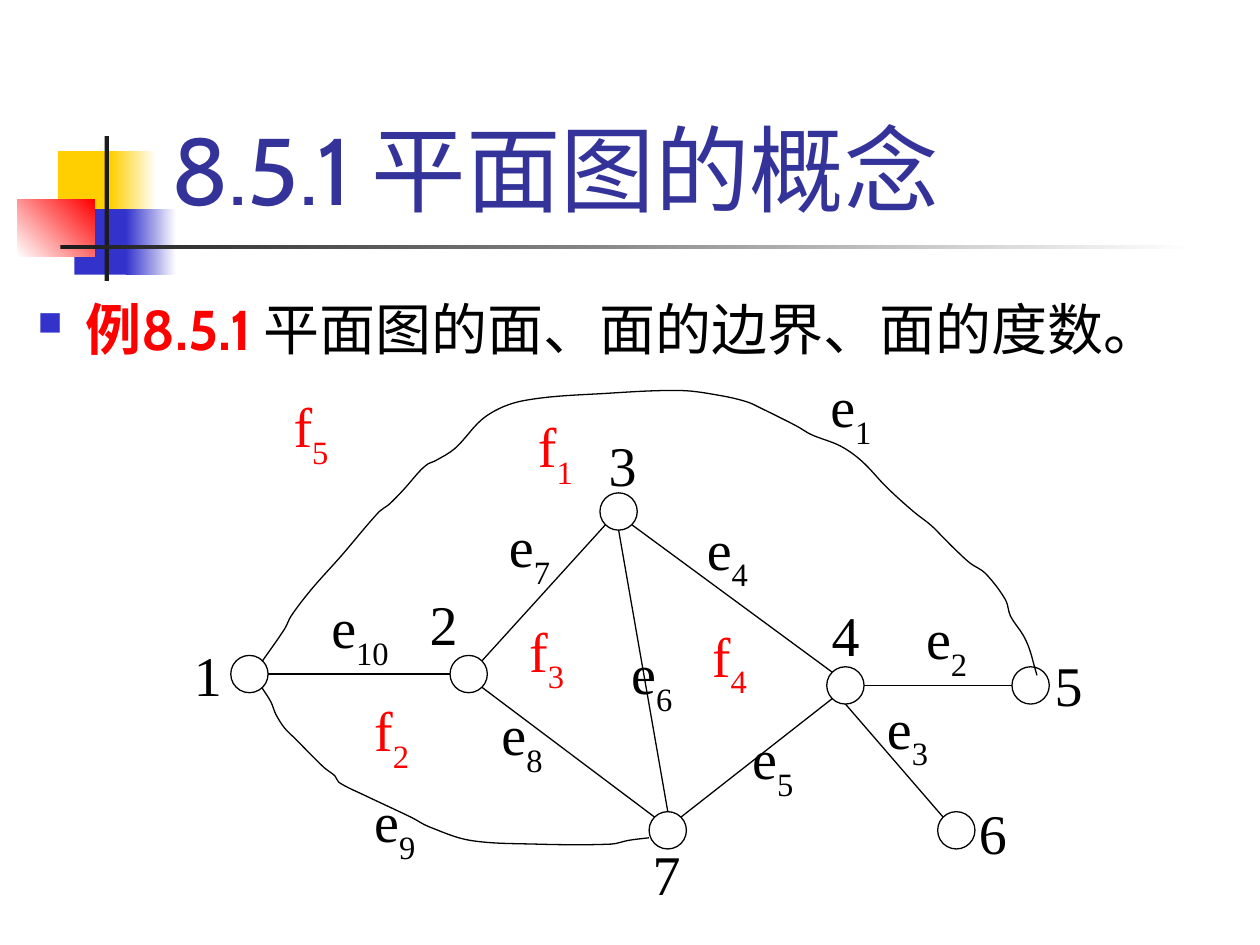
"""Build a slide on the faces, boundaries and degrees of a planar graph."""
from lxml import etree
from pptx import Presentation
from pptx import util as u
from pptx.dml.color import RGBColor
from pptx.enum import shapes, text
from pptx.oxml import ns

presentation = Presentation()
presentation.slide_width = u.Inches(10)
presentation.slide_height = u.Inches(7.5)
slide = presentation.slides.add_slide(presentation.slide_layouts[6])
column = presentation.slide_width / 100
row = presentation.slide_height / 75
rgb = RGBColor.from_string


def grid(*lengths):
    return [round(length * (row if index % 2 else column)) for index, length in enumerate(lengths)]


def add_shape(kind, frame, fill, line=None):
    shape = slide.shapes.add_shape(kind, *grid(*frame))
    shape.shadow.inherit = False
    shape.fill.solid()
    shape.fill.fore_color.rgb = rgb(fill)
    if line:
        shape.line.color.rgb = rgb(line)
        shape.line.width = u.Pt(0.75)
    else:
        shape.line.fill.background()
    return shape


ornaments = [
    ((4.6, 12, 4.8, 5.2), ["FFCF01"], 0),
    ((8.8, 12, 3.6, 5.2), ["FFCF01", "FFFFFF"], 0),
    ((5.9, 16.6, 4.6, 5.2), ["3333CC"], 0),
    ((10, 16.6, 4, 5.2), ["3333CC", "FFFFFF"], 0),
    ((1.4, 15.8, 6.1, 4.6), ["FFFFFF", "FF0000"], 45),
    ((8.3, 10.8, 0.35, 11.5), ["1C1C1C"], 0),
    ((4.8, 19.45, 90, 0.35), ["1C1C1C", "FFFFFF"], 0),
]
for frame, colors, angle in ornaments:
    shape = add_shape(shapes.MSO_SHAPE.RECTANGLE, frame, colors[0])
    if len(colors) == 2:
        shape.fill.gradient()
        shape.fill.gradient_angle = angle
        for stop, color in zip(shape.fill.gradient_stops, colors):
            stop.color.rgb = rgb(color)

title = slide.shapes.add_textbox(*grid(12.6, 2.3, 85.2, 16)).text_frame
title.word_wrap = True
title.vertical_anchor = text.MSO_ANCHOR.BOTTOM
paragraph = title.paragraphs[0]
paragraph.text = "8.5.1 平面图的概念"
paragraph.font.size = u.Pt(54)
paragraph.font.name = "Cabin"
paragraph.font.color.rgb = rgb("333399")

body = slide.shapes.add_textbox(*grid(2, 20.2, 98, 54.8)).text_frame
body.word_wrap = True
paragraph = body.paragraphs[0]
paragraph.line_spacing = 1.5
properties = paragraph._p.get_or_add_pPr()
properties.set("marL", str(u.Inches(0.38)))
properties.set("indent", str(-u.Inches(0.38)))
bullet_color = etree.SubElement(properties, ns.qn("a:buClr"))
etree.SubElement(bullet_color, ns.qn("a:srgbClr"), val="3333CC")
etree.SubElement(properties, ns.qn("a:buSzPct"), val="60000")
etree.SubElement(properties, ns.qn("a:buChar"), char="■")
paragraph.font.size = u.Pt(32)
paragraph.font.name = "Cabin"
for words, color, bold in [("例8.5.1 ", "FF0000", True),
                           ("平面图的面、面的边界、面的度数。", "000000", False)]:
    run = paragraph.add_run()
    run.text = words
    run.font.color.rgb = rgb(color)
    run.font.bold = bold

labels = [
    ("f", "1", 41.6, 32.1, 8.7), ("f", "2", 28.6, 54.6, 8.7), ("f", "3", 40.9, 48.3, 8.7),
    ("f", "4", 55.4, 48.7, 8.3), ("e", "1", 64.8, 28.9, 8.7), ("e", "7", 39.3, 40, 8.7),
    ("e", "10", 25.2, 46.4, 8.7), ("e", "8", 38.7, 54.9, 8.7), ("e", "9", 28.6, 61.8, 8.7),
    ("e", "3", 69.3, 54.4, 8.7), ("e", "5", 58.6, 56.8, 8.7), ("e", "4", 55, 40.2, 8.7),
    ("e", "2", 72.4, 47.3, 8.7), ("e", "6", 49, 50.1, 7.6), ("7", "", 50.7, 66, 8.7),
    ("1", "", 14.3, 50.2, 8.7), ("6", "", 76.6, 62.8, 8.7), ("5", "", 82.6, 51, 8.7),
    ("3", "", 47.2, 33.6, 5.5), ("4", "", 64.9, 47.1, 8.7), ("2", "", 33, 46.2, 8.7),
    ("f", "5", 22.2, 30.5, 6.9),
]
for letter, index, left, top, width in labels:
    shape = add_shape(shapes.MSO_SHAPE.RECTANGLE, (left, top, width, 8.5), "FFFFFF", "FFFFFF")
    frame = shape.text_frame
    frame.vertical_anchor = text.MSO_ANCHOR.TOP
    frame.margin_left = frame.margin_right = u.Inches(0.11)
    frame.margin_top = frame.margin_bottom = u.Inches(0.06)
    paragraph = frame.paragraphs[0]
    paragraph.alignment = text.PP_ALIGN.LEFT
    paragraph.font.size = u.Pt(32)
    paragraph.font.name = "Times New Roman"
    paragraph.font.color.rgb = rgb("FF0000" if letter == "f" else "000000")
    paragraph.add_run().text = letter
    if index:
        run = paragraph.add_run()
        run.text = index
        run.font._element.set("baseline", "-30000")

radius = 1.48
vertices = {1: (19.8, 53.5), 2: (37.2, 53.5), 3: (49.1, 40.6), 4: (67.1, 54.4),
            5: (81.8, 54.4), 6: (75.9, 65.9), 7: (53, 65.9)}
for x, y in vertices.values():
    add_shape(shapes.MSO_SHAPE.OVAL, (x - radius, y - radius, 2 * radius, 2 * radius),
              "FFFFFF", "000000")

sites = {"top": (0, -1), "bottom": (0, 1), "left": (-1, 0), "right": (1, 0),
         "top left": (-0.71, -0.71), "top right": (0.71, -0.71),
         "bottom left": (-0.71, 0.71), "bottom right": (0.71, 0.71)}
edges = [
    (1, "right", 2, "left"), (3, "bottom left", 2, "top right"),
    (2, "bottom right", 7, "top left"), (3, "bottom", 7, "top"),
    (3, "bottom right", 4, "top left"), (4, "bottom left", 7, "top right"),
    (4, "right", 5, "left"), (4, "bottom", 6, "top left"),
]
for start, start_site, end, end_site in edges:
    ends = [center + radius * offset
            for vertex, site in ((start, start_site), (end, end_site))
            for center, offset in zip(vertices[vertex], sites[site])]
    connector = slide.shapes.add_connector(shapes.MSO_CONNECTOR.STRAIGHT, *grid(*ends))
    connector.line.color.rgb = rgb("000000")
    connector.line.width = u.Pt(0.75)
    etree.SubElement(connector._element.spPr, ns.qn("a:effectLst"))

lower_edge = [
    (20.8, 54.6), (21.5, 55.7), (21.9, 56.7), (22.6, 57.8), (23.4, 58.6), (25.7, 60.9),
    (26.6, 61.6), (26.9, 62.1), (29.1, 63.2), (32.7, 64.9), (34, 65.6), (37.3, 66.7),
    (42.5, 67), (48.5, 67), (49.9, 66.7), (51.5, 66.5),
]
upper_edge = [
    (20.8, 52.5), (22.6, 49.9), (23.1, 48.9), (24.7, 46.8), (27.1, 44.1), (30.1, 40.6),
    (30.8, 40.1), (32, 38.9), (33.4, 37.3), (34, 36.8), (34.5, 36.6), (36.1, 35.6),
    (38.57, 33.04), (41.55, 31.8), (48.5, 31.2), (54.1, 31), (57.2, 31.4), (59.3, 31.9),
    (60.4, 32.4), (63.2, 33.8), (64.4, 34.5), (66.7, 35.4), (68.4, 36.6), (70.4, 38.7),
    (72.5, 40.6), (73.9, 41.7), (74.9, 42.7), (75.8, 43.6), (77, 44.7), (78.2, 45.5),
    (79.8, 47.6), (80.2, 48.9), (81.2, 50.4), (81.7, 51.5), (82.1, 52.9), (82.3, 53.6),
]
for edge in (lower_edge, upper_edge):
    points = [complex(*point) for point in edge]
    padded = [points[0], *points, points[-1]]
    tangents = [(after - before) / abs(after - before)
                for before, after in zip(padded, padded[2:])]
    controls = []
    for index in range(len(points) - 1):
        start, end = points[index:index + 2]
        reach = abs(end - start) / 3
        controls += [start + reach * tangents[index], end - reach * tangents[index + 1], end]
    builder = slide.shapes.build_freeform(*grid(*edge[0]))
    builder.add_line_segments([grid(point.real, point.imag) for point in controls], close=False)
    shape = builder.convert_to_shape()
    shape.shadow.inherit = False
    shape.fill.background()
    shape.line.color.rgb = rgb("000000")
    shape.line.width = u.Pt(0.75)
    outline = shape._element.find(".//" + ns.qn("a:path"))
    segments = outline.findall(ns.qn("a:lnTo"))
    for index in range(0, len(segments), 3):
        curve = etree.SubElement(outline, ns.qn("a:cubicBezTo"))
        for segment in segments[index:index + 3]:
            curve.append(segment[0])
            outline.remove(segment)

presentation.save("out.pptx")
